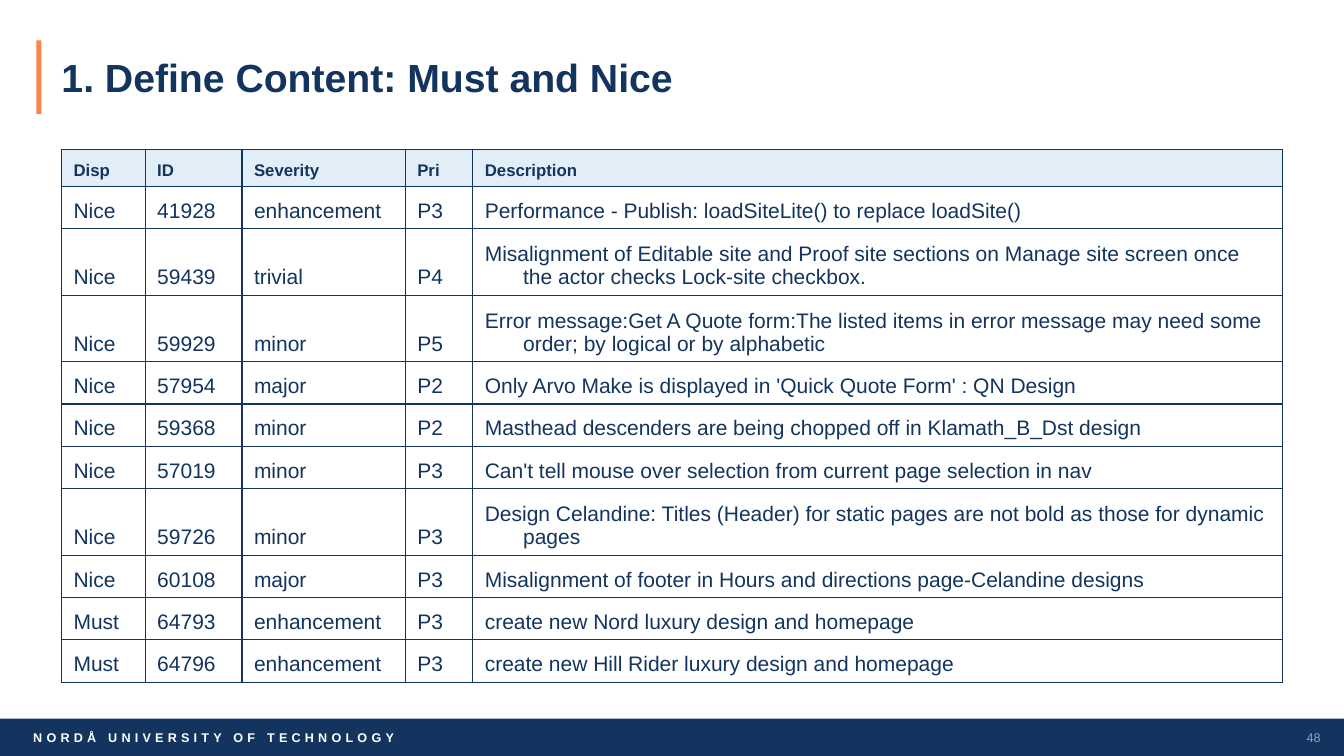
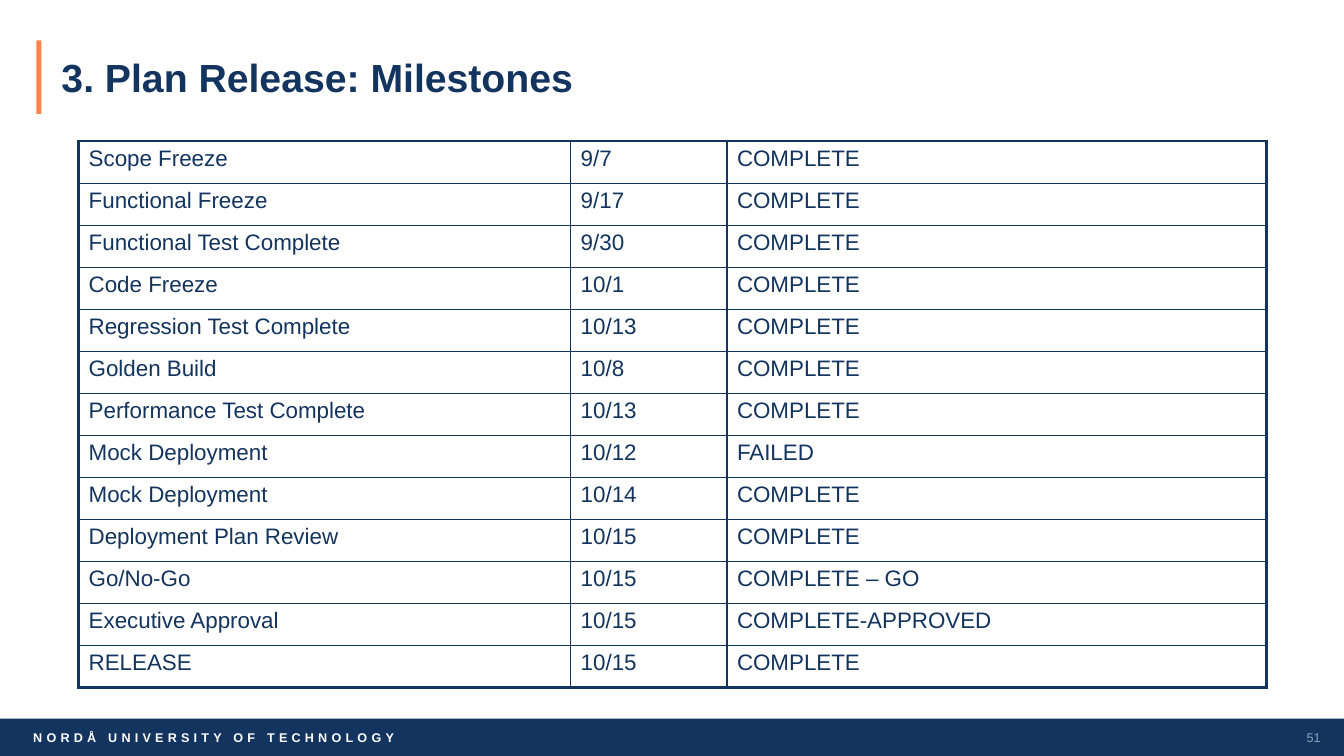
import pptx
import pptx.dml.color
import pptx.enum.shapes
import pptx.enum.text
import pptx.util
from pptx.util import Inches
import lxml.etree

NAVY, ORANGE, WHITE = "13345E", "FF8247", "FFFFFF"
PALE, GREY_BLUE = "E2EEF7", "88A5BD"
FOOTER = "NORDÅ UNIVERSITY OF TECHNOLOGY"
A = "http://schemas.openxmlformats.org/drawingml/2006/main"
ANCHOR = pptx.enum.text.MSO_ANCHOR
ALIGN = pptx.enum.text.PP_ALIGN


def rgb(color):
    return pptx.dml.color.RGBColor.from_string(color)


class Deck:
    """Shared style and the slide being built."""

    font = "Arial"

    def __init__(self):
        self.prs = pptx.Presentation()
        self.prs.slide_width, self.prs.slide_height = Inches(13.33), Inches(7.5)
        self.s = None

    def style(self, p, size, color=NAVY, bold=False, align=ALIGN.LEFT):
        p.font.name, p.font.size, p.font.bold = self.font, pptx.util.Pt(size), bold
        p.font.color.rgb = rgb(color)
        p.alignment = align

    def bar(self, left, top, width, height, color):
        sp = self.s.shapes.add_shape(pptx.enum.shapes.MSO_SHAPE.RECTANGLE, Inches(left),
                                     Inches(top), Inches(width), Inches(height))
        sp.shadow.inherit = False
        sp.fill.solid()
        sp.fill.fore_color.rgb = rgb(color)
        sp.line.fill.background()
        return sp

    def title(self, text):
        sp = self.s.shapes.title
        sp.left, sp.top, sp.width, sp.height = map(Inches, (0.61, 0.28, 9.99, 1.02))
        tf = sp.text_frame
        tf.auto_size = pptx.enum.text.MSO_AUTO_SIZE.NONE
        tf.vertical_anchor = ANCHOR.MIDDLE
        tf.margin_left = 0
        tf.text = text
        p = tf.paragraphs[0]
        p.line_spacing = 0.9
        self.style(p, 28, bold=True)

    def footer(self, number):
        tf = self.bar(0, 7.13, 13.33, 0.37, NAVY).text_frame
        tf.margin_left = Inches(0.33)
        tf.vertical_anchor = ANCHOR.MIDDLE
        tf.text = FOOTER
        p = tf.paragraphs[0]
        self.style(p, 9, WHITE, bold=True)
        p.runs[0].font._element.set("spc", "300")

        tf = self.s.shapes.add_textbox(Inches(12.73), Inches(7.12),
                                       Inches(0.6), Inches(0.4)).text_frame
        tf.word_wrap = True
        tf.vertical_anchor = ANCHOR.MIDDLE
        tf.text = str(number)
        self.style(tf.paragraphs[0], 9, GREY_BLUE, align=ALIGN.CENTER)

    def slide(self, title, number):
        self.s = self.prs.slides.add_slide(self.prs.slide_layouts[5])
        self.title(title)
        self.bar(0.36, 0.4, 0.05, 0.73, ORANGE)
        self.footer(number)

    def borders(self, cell, widths):
        """Draw left, right, top and bottom lines, widths in points."""
        tc_pr = cell._tc.get_or_add_tcPr()
        for i, (side, width) in enumerate(zip("LRTB", widths)):
            ln = lxml.etree.Element(f"{{{A}}}ln{side}", w=str(pptx.util.Pt(width)))
            fill = lxml.etree.SubElement(ln, f"{{{A}}}solidFill")
            lxml.etree.SubElement(fill, f"{{{A}}}srgbClr", val=NAVY)
            tc_pr.insert(i, ln)

    def table(self, left, top, cols, heights, rows, size, outer=1, header_size=None,
              anchor=ANCHOR.TOP, margins=(0.1, 0.05), hanging=0):
        """Draw a table; header_size makes the first row a header."""
        table = self.s.shapes.add_table(
            len(rows), len(cols), Inches(left), Inches(top),
            Inches(sum(cols)), Inches(sum(heights))).table
        table.first_row = bool(header_size)
        table.horz_banding = False
        for column, width in zip(table.columns, cols):
            column.width = Inches(width)
        for r, (row, height) in enumerate(zip(rows, heights)):
            table.rows[r].height = Inches(height)
            header = bool(header_size) and r == 0
            for c, text in enumerate(row):
                cell = table.cell(r, c)
                cell.text = text
                cell.vertical_anchor = anchor
                cell.margin_left = cell.margin_right = Inches(margins[0])
                cell.margin_top = cell.margin_bottom = Inches(margins[1])
                cell.fill.solid()
                cell.fill.fore_color.rgb = rgb(PALE if header else WHITE)
                p = cell.text_frame.paragraphs[0]
                self.style(p, header_size if header else size, bold=header)
                if hanging:
                    p_pr = p._p.get_or_add_pPr()
                    p_pr.set("marL", str(Inches(hanging)))
                    p_pr.set("indent", str(-Inches(hanging)))
                edges = (c == 0, c == len(cols) - 1, r == 0, r == len(rows) - 1)
                self.borders(cell, [outer if edge else 1 for edge in edges])


ISSUES = [
    ("Disp", "ID", "Severity", "Pri", "Description"),
    ("Nice", "41928", "enhancement", "P3",
     "Performance - Publish: loadSiteLite() to replace loadSite()"),
    ("Nice", "59439", "trivial", "P4",
     "Misalignment of Editable site and Proof site sections on Manage site screen once "
     "the actor checks Lock-site checkbox."),
    ("Nice", "59929", "minor", "P5",
     "Error message:Get A Quote form:The listed items in error message may need some "
     "order; by logical or by alphabetic"),
    ("Nice", "57954", "major", "P2",
     "Only Arvo Make is displayed in 'Quick Quote Form' : QN Design"),
    ("Nice", "59368", "minor", "P2",
     "Masthead descenders are being chopped off in Klamath_B_Dst design"),
    ("Nice", "57019", "minor", "P3",
     "Can't tell mouse over selection from current page selection in nav"),
    ("Nice", "59726", "minor", "P3",
     "Design Celandine: Titles (Header) for static pages are not bold as those for "
     "dynamic pages"),
    ("Nice", "60108", "major", "P3",
     "Misalignment of footer in Hours and directions page-Celandine designs"),
    ("Must", "64793", "enhancement", "P3", "create new Nord luxury design and homepage"),
    ("Must", "64796", "enhancement", "P3",
     "create new Hill Rider luxury design and homepage"),
]

MILESTONES = [
    ("Scope Freeze", "9/7", "COMPLETE"),
    ("Functional Freeze", "9/17", "COMPLETE"),
    ("Functional Test Complete", "9/30", "COMPLETE"),
    ("Code Freeze", "10/1", "COMPLETE"),
    ("Regression Test Complete", "10/13", "COMPLETE"),
    ("Golden Build", "10/8", "COMPLETE"),
    ("Performance Test Complete", "10/13", "COMPLETE"),
    ("Mock Deployment", "10/12", "FAILED"),
    ("Mock Deployment", "10/14", "COMPLETE"),
    ("Deployment Plan Review", "10/15", "COMPLETE"),
    ("Go/No-Go", "10/15", "COMPLETE – GO"),
    ("Executive Approval", "10/15", "COMPLETE-APPROVED"),
    ("RELEASE", "10/15", "COMPLETE"),
]


def main():
    deck = Deck()

    # Issue list: descriptions over 80 characters take two lines
    deck.slide("1. Define Content: Must and Nice", 48)
    heights = [0.37] + [0.66 if len(row[-1]) > 80 else 0.42 for row in ISSUES[1:]]
    deck.table(0.61, 1.48, [0.83, 0.96, 1.62, 0.67, 8.03], heights, ISSUES, 15,
               header_size=12, anchor=ANCHOR.BOTTOM, margins=(0.12, 0.06), hanging=0.38)

    # Milestones
    deck.slide("3. Plan Release: Milestones", 51)
    deck.table(0.78, 1.4, [4.88, 1.55, 5.35], [0.417] * len(MILESTONES), MILESTONES, 16,
               outer=2.25)

    deck.prs.save("out.pptx")


if __name__ == "__main__":
    main()
